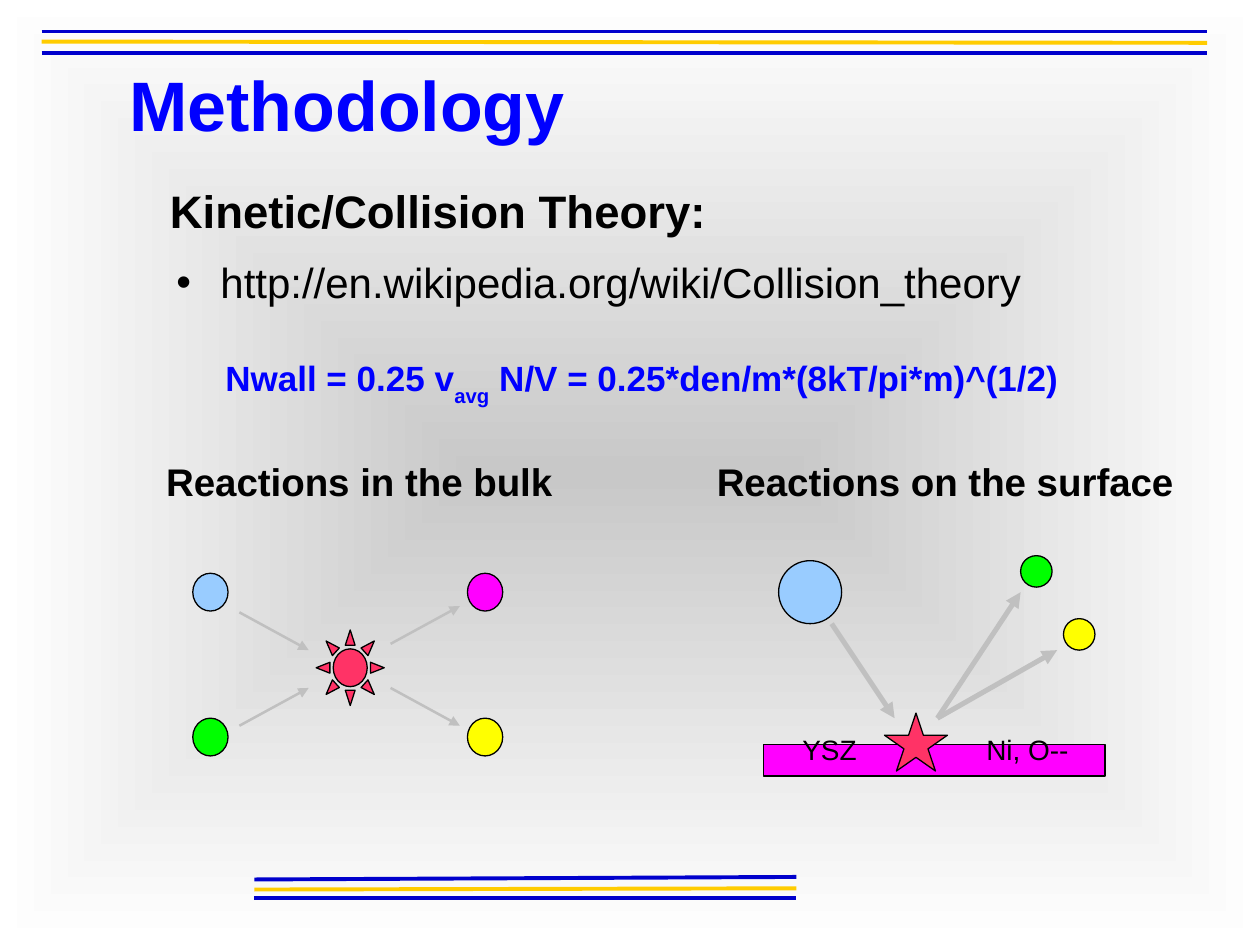
import pptx
import pptx.dml.color
import pptx.enum.shapes
import pptx.oxml
import pptx.oxml.ns
import pptx.util
from pptx.util import Inches

RGB = pptx.dml.color.RGBColor
KIND = pptx.enum.shapes.MSO_SHAPE
BLACK = RGB(0x00, 0x00, 0x00)
WHITE = RGB(0xFF, 0xFF, 0xFF)
GRAY = RGB(0xC8, 0xC8, 0xC8)
SILVER = RGB(0xC0, 0xC0, 0xC0)
NAVY = RGB(0x00, 0x00, 0xCC)
GOLD = RGB(0xFF, 0xCC, 0x00)
BLUE = RGB(0x00, 0x00, 0xFF)
SKY = RGB(0x99, 0xCC, 0xFF)
GREEN = RGB(0x00, 0xFF, 0x00)
PINK = RGB(0xFF, 0x00, 0xFF)
YELLOW = RGB(0xFF, 0xFF, 0x00)
RED = RGB(0xFF, 0x33, 0x66)


def make(tag, attrs="", inner=""):
    """Return a new drawing element."""
    space = pptx.oxml.ns.nsdecls("a")
    return pptx.oxml.parse_xml(f"<a:{tag} {space} {attrs}>{inner}</a:{tag}>")


def shade(slide):
    """Fill the background with a gradient from the centre outward."""
    fill = slide.background.fill
    fill.gradient()
    for stop, color in zip(fill.gradient_stops, (GRAY, WHITE)):
        stop.color.rgb = color
    grad = slide.element.find(".//" + pptx.oxml.ns.qn("a:gradFill"))
    lin = grad.find(pptx.oxml.ns.qn("a:lin"))
    rect = '<a:fillToRect l="50000" t="50000" r="50000" b="50000"/>'
    grad.replace(lin, make("path", 'path="rect"', rect))


def add_line(slide, start, end, color, width, head=False):
    """Draw a straight line, with an arrowhead if asked."""
    line = slide.shapes.add_connector(
        pptx.enum.shapes.MSO_CONNECTOR.STRAIGHT,
        *(Inches(n) for n in (*start, *end)))
    line.line.color.rgb = color
    line.line.width = pptx.util.Pt(width)
    if head:
        line.line._get_or_add_ln().append(make("tailEnd", 'type="triangle"'))
    line._element.spPr.append(make("effectLst"))


def add_form(slide, kind, box, color):
    """Draw a filled preset shape with a thin black outline."""
    form = slide.shapes.add_shape(kind, *map(Inches, box))
    form.shadow.inherit = False
    form.fill.solid()
    form.fill.fore_color.rgb = color
    form.line.color.rgb = BLACK
    form.line.width = pptx.util.Pt(0.75)


def add_text(slide, box, runs, size, color=BLACK, bold=False, bullet=False):
    """Write one paragraph from pairs of wording and baseline shift."""
    frame = slide.shapes.add_textbox(*map(Inches, box)).text_frame
    frame.word_wrap = True
    para = frame.paragraphs[0]
    para.line_spacing = 0.93
    if bullet:
        for side in ("left", "top", "right", "bottom"):
            setattr(frame, "margin_" + side, 0)
        props = para._p.get_or_add_pPr()
        props.set("marL", str(Inches(0.37)))
        props.set("indent", str(Inches(-0.35)))
        props.append(make("buFont", 'typeface="Arial"'))
        props.append(make("buChar", 'char="•"'))
    style = {"name": "Arial", "size": pptx.util.Pt(size), "bold": bold}
    for words, shift in runs:
        run = para.add_run()
        run.text = words
        for key, value in style.items():
            setattr(run.font, key, value)
        run.font.color.rgb = color
        if shift:
            run._r.get_or_add_rPr().set("baseline", str(shift * 1000))


def add_bands(slide):
    """Draw the triple rules at the top and the bottom."""
    colors = (NAVY, GOLD, NAVY)
    tops = ((0.25, 0.25), (0.33, 0.34), (0.42, 0.42))
    lows = ((6.98, 6.96), (7.06, 7.05), (7.13, 7.13))
    for left, right, rows in ((0.33, 9.58, tops), (2.02, 6.32, lows)):
        for color, (first, last) in zip(colors, rows):
            add_line(slide, (left, first), (right, last), color, 2.25)


def add_words(slide):
    """Write the title, the theory lines and the labels."""
    add_text(slide, (0.93, 0.5, 7.27, 0.75), [("Methodology", 0)],
             40, BLUE, True)
    add_text(slide, (1.25, 1.44, 8, 0.5), [("Kinetic/Collision Theory:", 0)],
             26, bold=True)
    link = "http://en.wikipedia.org/wiki/Collision_theory"
    add_text(slide, (1.38, 2.07, 8, 0.84), [(link, 0)], 24, bullet=True)
    rate = [("Nwall = 0.25 v", 0), ("avg", -33),
            (" N/V = 0.25*den/m*(8kT/pi*m)^(1/2)", 0)]
    add_text(slide, (1.69, 2.78, 7, 0.52), rate, 20, BLUE, True)
    for left, wide, words in ((1.22, 3.35, "Reactions in the bulk"),
                              (5.59, 3.91, "Reactions on the surface")):
        add_text(slide, (left, 3.62, wide, 0.44), [(words, 0)], 22, bold=True)


def add_bulk(slide):
    """Draw two pairs of balls around a burst."""
    for left, top, color in ((1.53, 4.55, SKY), (1.53, 5.7, GREEN),
                             (3.71, 4.55, PINK), (3.71, 5.7, YELLOW)):
        add_form(slide, KIND.OVAL, (left, top, 0.28, 0.3), color)
    add_form(slide, KIND.SUN, (2.51, 5, 0.54, 0.6), RED)
    for left, top, drop in ((1.9, 4.86, 0.3), (1.9, 5.76, -0.3),
                            (3.1, 5.11, -0.3), (3.1, 5.46, 0.3)):
        end = (left + 0.55, top + drop)
        add_line(slide, (left, top), end, SILVER, 1.45, True)


def add_wall(slide):
    """Draw a ball that hits the surface and splits in two."""
    add_form(slide, KIND.RECTANGLE, (6.06, 5.91, 2.71, 0.25), PINK)
    for left, top, size, color in ((6.18, 4.45, 0.5, SKY),
                                   (8.1, 4.41, 0.25, GREEN),
                                   (8.44, 4.91, 0.25, YELLOW)):
        add_form(slide, KIND.OVAL, (left, top, size, size), color)
    add_form(slide, KIND.STAR_5_POINT, (7.02, 5.66, 0.5, 0.46), RED)
    for start, end in (((6.6, 4.95), (7.1, 5.7)), ((7.44, 5.7), (8.39, 5.16)),
                       ((7.44, 5.7), (8.1, 4.7))):
        add_line(slide, start, end, SILVER, 2.89, True)
    for left, wide, words in ((6.27, 0.7, "YSZ"), (7.73, 0.95, "Ni, O--")):
        add_text(slide, (left, 5.79, wide, 0.35), [(words, 0)], 16)


def main():
    """Build the slide and save it."""
    deck = pptx.Presentation()
    deck.slide_width, deck.slide_height = Inches(10), Inches(7.5)
    slide = deck.slides.add_slide(deck.slide_layouts[6])
    for step in (shade, add_bands, add_words, add_bulk, add_wall):
        step(slide)
    deck.save("out.pptx")


if __name__ == "__main__":
    main()
